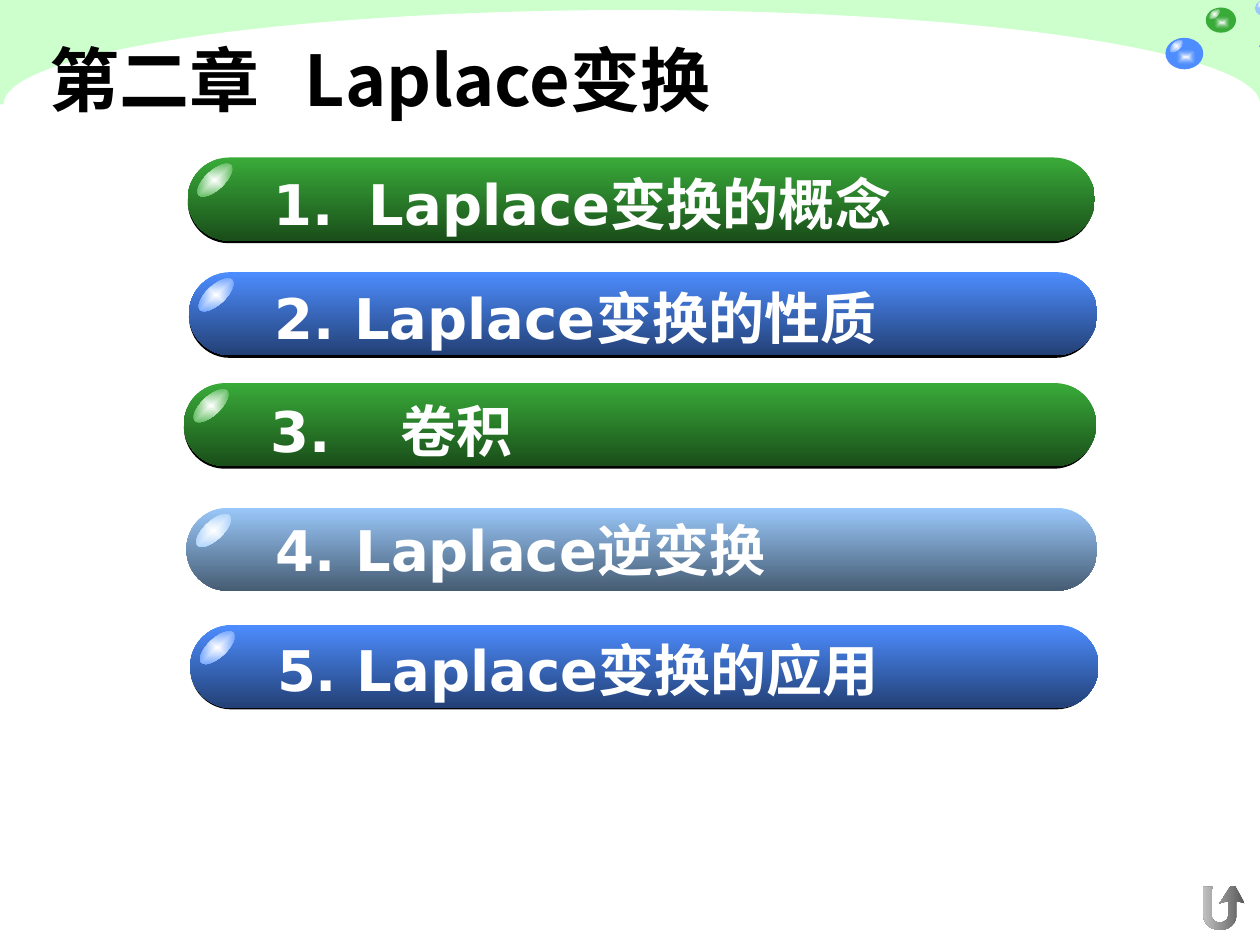
import math
from dataclasses import dataclass

import lxml.etree
import pptx
import pptx.dml.color
import pptx.enum.shapes
import pptx.enum.text
import pptx.oxml
import pptx.oxml.ns
import pptx.util

COLORS = {
    "band": "CCFFCC", "white": "FFFFFF", "black": "000000",
    "green": "39AB39", "green_dark": "1A4E1A",
    "blue": "4D8DFF", "blue_dark": "234075",
    "sky": "9AC8FA", "sky_dark": "465C73",
    "violet": "5353FF", "gray": "585858", "silver": "C0C0C0",
}
SHAPE = pptx.enum.shapes.MSO_SHAPE
ANCHOR = pptx.enum.text.MSO_ANCHOR
CJK_FONT = "Noto Sans CJK SC"
GLOSS_TILT = 317.2

# The slide is a fine grid of 1000 columns by 750 rows
SLIDE_W, SLIDE_H = pptx.util.Inches(10), pptx.util.Inches(7.5)
COLUMN, ROW = SLIDE_W / 1000, SLIDE_H / 750


@dataclass
class Box:
    left: float
    top: float
    width: float
    height: float

    def emu(self) -> list[int]:
        return [round(self.left * COLUMN), round(self.top * ROW),
                round(self.width * COLUMN), round(self.height * ROW)]

    def share(self, x: float, y: float, w: float, h: float) -> "Box":
        return Box(self.left + x * self.width, self.top + y * self.height,
                   w * self.width, h * self.height)


@dataclass
class Ball:
    box: Box
    color: str
    glow: bool = True


@dataclass
class Section:
    text: str
    color: str
    bar: Box
    label: Box
    shadow_drop: float = 3
    tab: float = 0


def gradient(shape, start: str, end: str, angle: float | None = None,
             fade: bool = False) -> None:
    """Linear at the given angle, or from the centre outwards without one."""
    alpha = '<a:alpha val="0"/>' if fade else ""
    if angle is None:
        way = ('<a:path path="rect"><a:fillToRect l="50000" t="50000" '
               'r="50000" b="50000"/></a:path>')
    else:
        way = f'<a:lin ang="{round(angle * 60000)}" scaled="0"/>'
    fill = pptx.oxml.parse_xml(
        f'<a:gradFill {pptx.oxml.ns.nsdecls("a")} rotWithShape="1"><a:gsLst>'
        f'<a:gs pos="0"><a:srgbClr val="{COLORS[start]}"/></a:gs>'
        f'<a:gs pos="100000"><a:srgbClr val="{COLORS[end]}">{alpha}</a:srgbClr></a:gs>'
        f'</a:gsLst>{way}</a:gradFill>')
    shape.fill.background()
    blank = shape._element.spPr.find(pptx.oxml.ns.qn("a:noFill"))
    blank.getparent().replace(blank, fill)


def add_plain(slide, kind, box: Box, color: str | None = None, rotation: float = 0):
    shape = slide.shapes.add_shape(kind, *box.emu())
    shape.shadow.inherit = False
    shape.line.fill.background()
    shape.rotation = rotation
    if color:
        shape.fill.solid()
        shape.fill.fore_color.rgb = pptx.dml.color.RGBColor.from_string(COLORS[color])
    return shape


def add_gloss(slide, box: Box, color: str) -> None:
    gradient(add_plain(slide, SHAPE.OVAL, box, rotation=GLOSS_TILT), "white", color)


def add_ball(slide, ball: Ball) -> None:
    add_plain(slide, SHAPE.OVAL, ball.box, ball.color)
    if ball.glow:
        glow = add_plain(slide, SHAPE.OVAL, ball.box.share(0.26, 0.33, 0.56, 0.56))
        gradient(glow, "white", ball.color, fade=True)
    add_gloss(slide, ball.box.share(0.08, 0.14, 0.42, 0.25), ball.color)


def write(shape, text: str, size: float, font: str, color: str, anchor,
          tab: float = 0) -> None:
    frame = shape.text_frame
    frame_format = {
        "word_wrap": True, "vertical_anchor": anchor,
        "auto_size": pptx.enum.text.MSO_AUTO_SIZE.NONE,
        "margin_left": pptx.util.Inches(0.1), "margin_right": pptx.util.Inches(0.1),
        "margin_top": pptx.util.Inches(0.05), "margin_bottom": pptx.util.Inches(0.05),
    }
    for name, value in frame_format.items():
        setattr(frame, name, value)
    paragraph = frame.paragraphs[0]
    paragraph.alignment = pptx.enum.text.PP_ALIGN.LEFT
    if tab:
        stops = lxml.etree.SubElement(paragraph._p.get_or_add_pPr(),
                                      pptx.oxml.ns.qn("a:tabLst"))
        lxml.etree.SubElement(stops, pptx.oxml.ns.qn("a:tab"),
                              pos=str(round(tab * COLUMN)), algn="l")
    run = paragraph.add_run()
    run.text = text
    for name, value in {"size": pptx.util.Pt(size), "name": font, "bold": True}.items():
        setattr(run.font, name, value)
    run.font.color.rgb = pptx.dml.color.RGBColor.from_string(COLORS[color])
    lxml.etree.SubElement(run._r.get_or_add_rPr(), pptx.oxml.ns.qn("a:ea"),
                          typeface=CJK_FONT)


def add_section(slide, section: Section) -> None:
    bar = section.bar
    drop = Box(bar.left, bar.top + section.shadow_drop, bar.width - 1, bar.height - 1)
    add_plain(slide, SHAPE.ROUNDED_RECTANGLE, drop, "black").adjustments[0] = 0.5
    pill = add_plain(slide, SHAPE.ROUNDED_RECTANGLE, bar)
    pill.adjustments[0] = 0.5
    gradient(pill, section.color, section.color + "_dark", 90)
    add_gloss(slide, Box(bar.left + 4, bar.top + 10.5, 35, 15), section.color)
    label = slide.shapes.add_textbox(*section.label.emu())
    write(label, section.text, 32, "DejaVu Sans", "white", ANCHOR.MIDDLE, section.tab)


def half_turn(rx: float, ry: float, start: int, end: int) -> list[tuple[float, float]]:
    """Lower half of the U, around its centre."""
    step = 15 if end > start else -15
    return [(968.2 + rx * math.cos(math.radians(a)), 727 + ry * math.sin(math.radians(a)))
            for a in range(start, end + step, step)]


def add_return_arrow(slide) -> None:
    head = [(981, 715), (988, 717), (980, 703), (977, 703), (968, 717), (975, 715)]
    outline = (head + half_turn(6.6, 5.2, 0, 180) + [(962, 704), (955, 704)]
               + half_turn(13, 11.2, 180, 0))
    (first_x, first_y), *rest = [(x * COLUMN, y * ROW) for x, y in outline]
    builder = slide.shapes.build_freeform(first_x, first_y)
    builder.add_line_segments(rest, close=True)
    arrow = builder.convert_to_shape()
    arrow.shadow.inherit = False
    arrow.line.fill.background()
    gradient(arrow, "gray", "silver", 180)


BALLS = [
    Ball(Box(957, 6, 24, 20), "green"),
    Ball(Box(925, 30, 30, 25), "blue"),
    Ball(Box(996, 0, 16, 13), "sky", glow=False),
]
SECTIONS = [
    Section("1.\tLaplace变换的概念", "green", Box(149, 125, 720, 66),
            Box(207, 139, 636, 44), tab=76),
    Section("2. Laplace变换的性质", "blue", Box(150, 216, 721, 66), Box(208, 230, 571, 44)),
    Section("3.\t卷积", "green", Box(146, 304, 724, 66), Box(205, 319, 547, 44), tab=103),
    Section("4. Laplace逆变换", "sky", Box(148, 403, 723, 66),
            Box(209, 414, 572, 44), shadow_drop=1),
    Section("5. Laplace变换的应用", "blue", Box(151, 496, 721, 66),
            Box(210, 509, 571, 44), shadow_drop=2),
]


def main() -> None:
    deck = pptx.Presentation()
    deck.slide_width, deck.slide_height = SLIDE_W, SLIDE_H
    slide = deck.slides.add_slide(deck.slide_layouts[5])

    # Curved green header
    add_plain(slide, SHAPE.RECTANGLE, Box(0, 0, 1000, 83), "band")
    add_plain(slide, SHAPE.OVAL, Box(3, 8, 997, 149), "white")

    # Balls on their orbit
    orbit = add_plain(slide, SHAPE.BLOCK_ARC, Box(924, 12, 109, 40), rotation=328.8)
    orbit._element.spPr.find(pptx.oxml.ns.qn("a:xfrm")).set("flipH", "1")
    for index, value in enumerate((136.404 * 0.6, 187.596 * 0.6, 0.106)):
        orbit.adjustments[index] = value
    gradient(orbit, "sky", "violet", 149)
    for ball in BALLS:
        add_ball(slide, ball)

    add_return_arrow(slide)

    # Chapter title, brought in front of the header
    title = slide.shapes.title
    slide.shapes._spTree.append(title._element)
    title.left, title.top, title.width, title.height = Box(29, 29, 785, 72).emu()
    write(title, "第二章\tLaplace变换", 40, CJK_FONT, "black", ANCHOR.BOTTOM, tab=203)

    # Chapter sections
    for section in SECTIONS:
        add_section(slide, section)

    deck.save("out.pptx")


if __name__ == "__main__":
    main()
